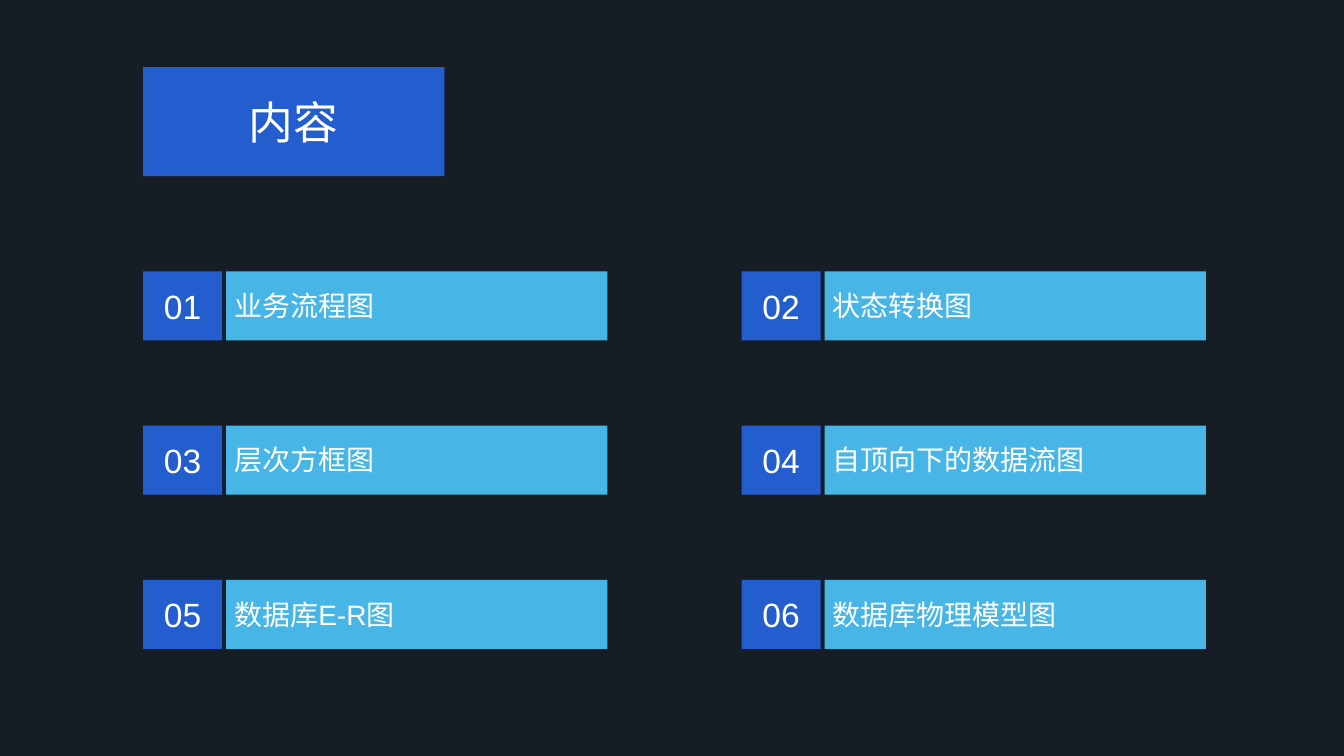
import dataclasses

import pptx
import pptx.dml.color
import pptx.enum.shapes
import pptx.enum.text
import pptx.shapes.autoshape
import pptx.shapes.base
import pptx.slide
import pptx.util

EMU_PER_PX = 9083
ALIGN = pptx.enum.text.PP_ALIGN


@dataclasses.dataclass(frozen=True)
class Theme:
    background: str = "171D25"
    accent: str = "245ECE"
    bar: str = "47B6E7"
    text: str = "FFFFFF"
    font: str = "Arial"
    title_size: int = 32
    number_size: int = 24
    label_size: int = 20


@dataclasses.dataclass(frozen=True)
class Area:
    left: int
    top: int
    width: int
    height: int


@dataclasses.dataclass(frozen=True)
class BlockStyle:
    fill: str
    size: int
    align: ALIGN
    insets: tuple[int, int, int, int]  # left, top, right, bottom


THEME = Theme()
TITLE_STYLE = BlockStyle(THEME.accent, THEME.title_size, ALIGN.CENTER, (10, 5, 10, 5))
NUMBER_STYLE = BlockStyle(THEME.accent, THEME.number_size, ALIGN.CENTER, (0, 0, 0, 0))
LABEL_STYLE = BlockStyle(THEME.bar, THEME.label_size, ALIGN.LEFT, (8, 0, 0, 1))

TOPICS = (
    "业务流程图",
    "状态转换图",
    "层次方框图",
    "自顶向下的数据流图",
    "数据库E-R图",
    "数据库物理模型图",
)

# Topic grid
COLUMNS = 2
GRID_LEFT, GRID_TOP = 143, 271
COLUMN_STEP, ROW_STEP = 598, 154
NUMBER_WIDTH, LABEL_WIDTH, ROW_HEIGHT, GAP = 79, 381, 69, 4


def px(length: int) -> pptx.util.Emu:
    return pptx.util.Emu(length * EMU_PER_PX)


def color(value: str) -> pptx.dml.color.RGBColor:
    return pptx.dml.color.RGBColor.from_string(value)


def place(box: pptx.shapes.base.BaseShape, area: Area) -> None:
    box.left, box.top = px(area.left), px(area.top)
    box.width, box.height = px(area.width), px(area.height)


def style_block(box: pptx.shapes.autoshape.Shape, text: str, style: BlockStyle) -> None:
    box.fill.solid()
    box.fill.fore_color.rgb = color(style.fill)
    box.line.fill.background()

    frame = box.text_frame
    frame.word_wrap = True
    frame.auto_size = pptx.enum.text.MSO_AUTO_SIZE.NONE
    frame.vertical_anchor = pptx.enum.text.MSO_ANCHOR.MIDDLE
    left, top, right, bottom = style.insets
    frame.margin_left, frame.margin_top = px(left), px(top)
    frame.margin_right, frame.margin_bottom = px(right), px(bottom)

    para = frame.paragraphs[0]
    para.alignment = style.align
    span = para.add_run()
    span.text = text
    span.font.name = THEME.font
    span.font.size = pptx.util.Pt(style.size)
    span.font.color.rgb = color(THEME.text)


def add_topic(page: pptx.slide.Slide, index: int, topic: str) -> None:
    row, column = divmod(index, COLUMNS)
    left = GRID_LEFT + column * COLUMN_STEP
    top = GRID_TOP + row * ROW_STEP
    label_left = left + NUMBER_WIDTH + GAP
    group = page.shapes.add_group_shape()
    for area, text, style in (
        (Area(left, top, NUMBER_WIDTH, ROW_HEIGHT), f"{index + 1:02d}", NUMBER_STYLE),
        (Area(label_left, top, LABEL_WIDTH, ROW_HEIGHT), topic, LABEL_STYLE),
    ):
        box = group.shapes.add_shape(
            pptx.enum.shapes.MSO_SHAPE.RECTANGLE,
            px(area.left), px(area.top), px(area.width), px(area.height),
        )
        box.shadow.inherit = False
        style_block(box, text, style)


def main() -> None:
    deck = pptx.Presentation()
    deck.slide_width, deck.slide_height = px(1343), px(755)
    page = deck.slides.add_slide(deck.slide_layouts.get_by_name("Title Only"))
    page.background.fill.solid()
    page.background.fill.fore_color.rgb = color(THEME.background)

    # Title
    title = page.shapes.title
    place(title, Area(GRID_LEFT, 67, 301, 109))
    style_block(title, "内容", TITLE_STYLE)

    # Numbered topics
    for index, topic in enumerate(TOPICS):
        add_topic(page, index, topic)

    deck.save("out.pptx")


if __name__ == "__main__":
    main()
